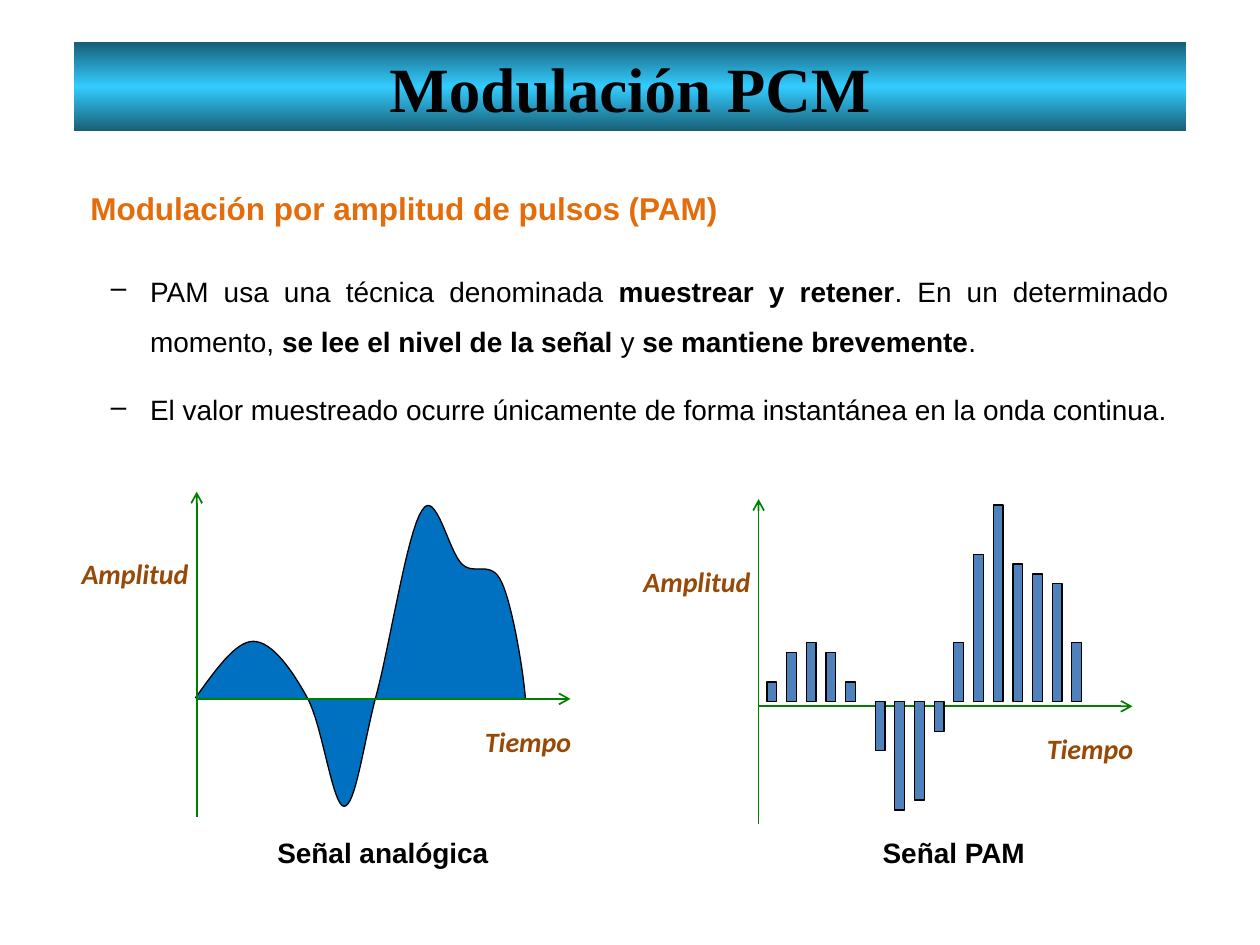
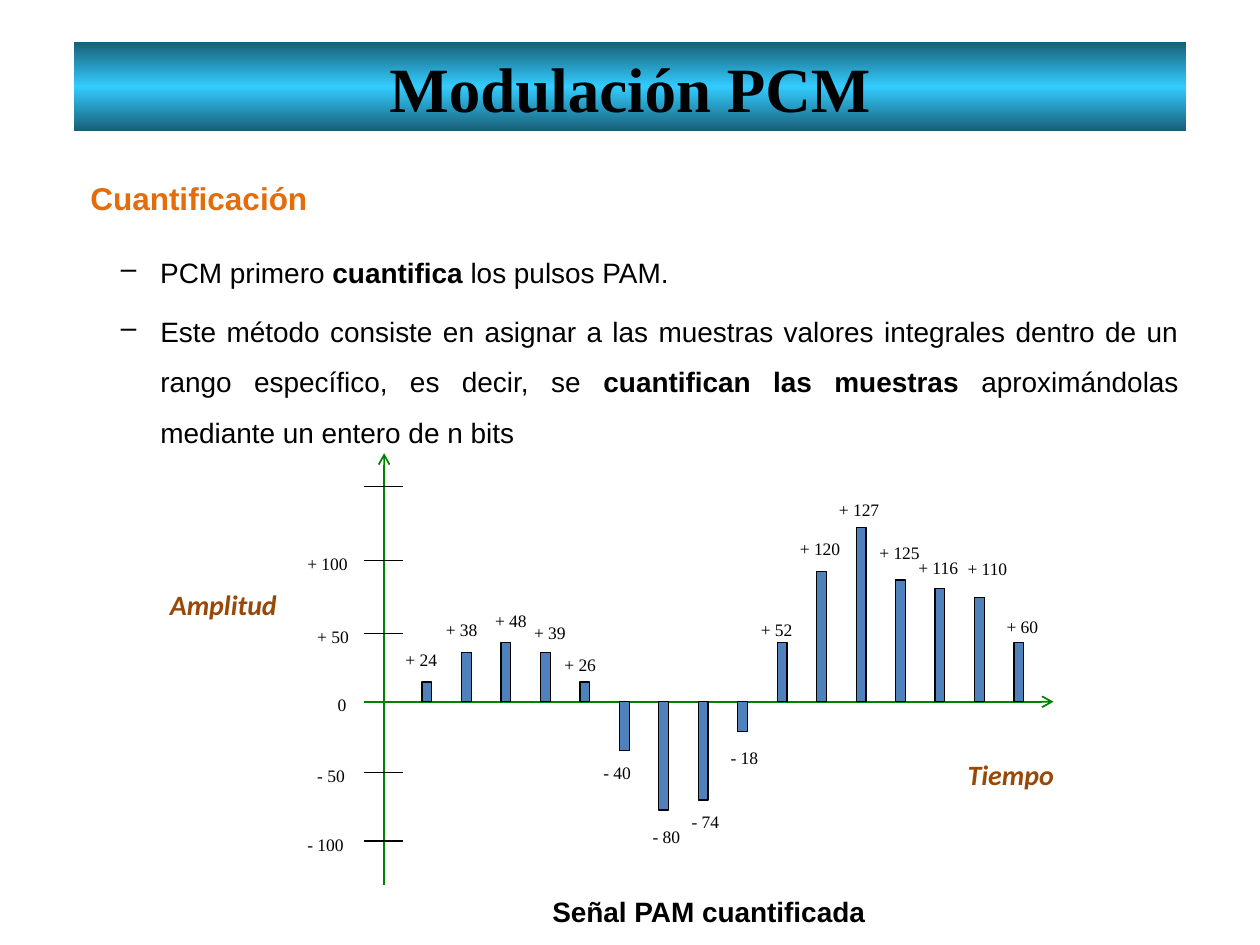
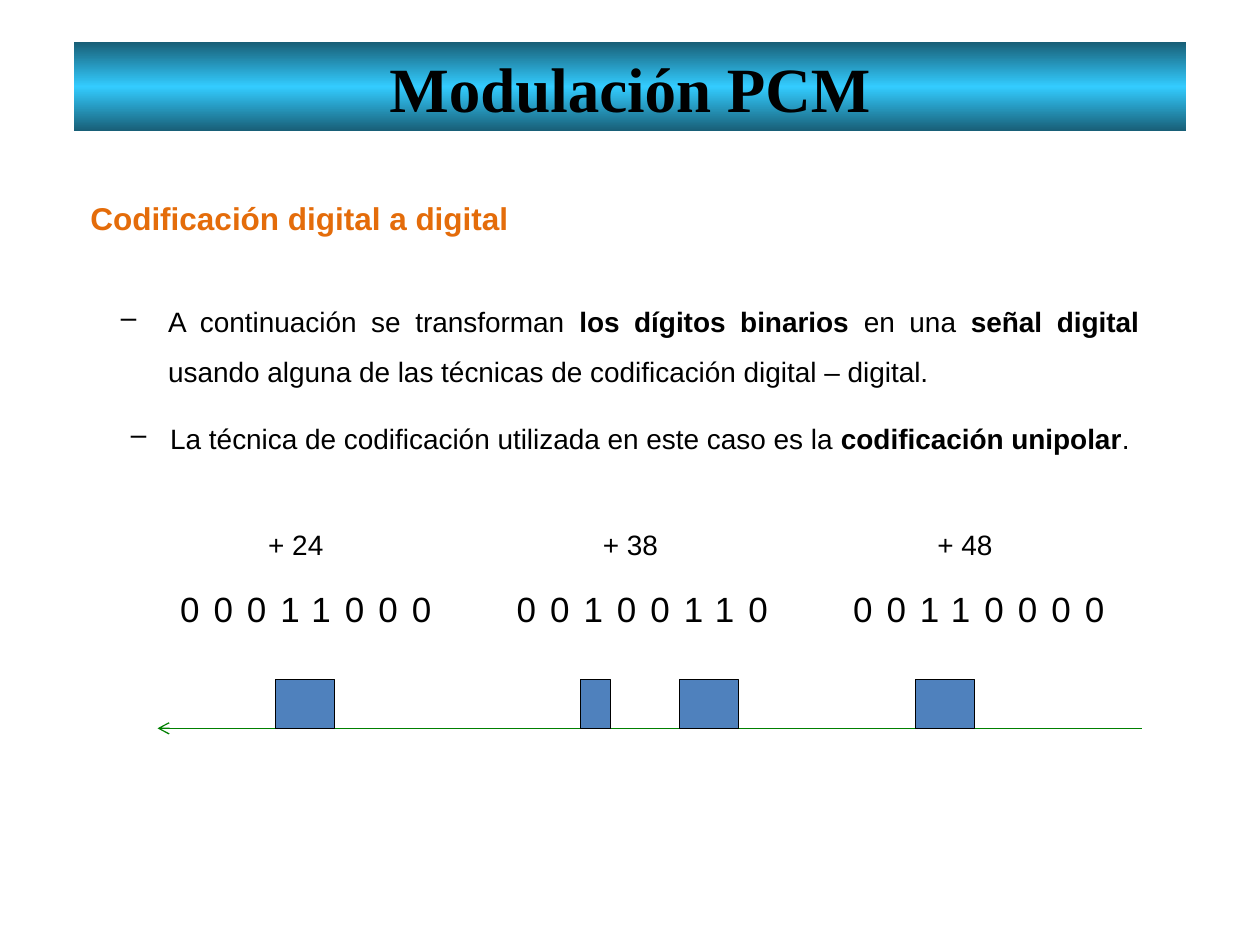
"""Builds three slides on PCM modulation: PAM, quantisation and digital coding."""
from lxml import etree
from pptx import Presentation
from pptx.dml.color import RGBColor
from pptx.enum import shapes, text
from pptx.oxml import ns, parse_xml
from pptx.util import Pt

ALIGN = text.PP_ALIGN
GREEN, BLACK, BLUE = "008000", "000000", "4F81BD"
HEADING = dict(name="Arial", size=Pt(18), bold=True, color="E46C0A")
BODY = dict(name="Arial", size=Pt(16), color=BLACK)
CAPTION = BODY | dict(bold=True)
AXIS_NAME = dict(name="Calibri", size=Pt(16), bold=True, italic=True, color="984807")
NUMBER = dict(name="Times New Roman", size=Pt(10), color=BLACK)
BAND_TITLE = dict(name="Times New Roman", size=Pt(36), bold=True, color=BLACK)
BAND_STOPS = [(0, "185E76"), (50000, "33CCFF"), (100000, "185E76")]

BASELINE = 401
LEVEL = 5.62
PEAK_LEVEL = 4.97
LEVELS = [2, 5, 6, 5, 2, -5, -11, -10, -3, 6, 15, 20, 14, 13, 12, 6]
SAMPLE_LABELS = [
    ("+ 24", 224.6, 367.2), ("+ 38", 247.7, 349.9), ("+ 48", 275.8, 344.9), ("+ 39", 298.1, 352.1),
    ("+ 26", 315.4, 370.1), ("- 40", 337.7, 432), ("- 80", 365.8, 468.7), ("- 74", 388.1, 460.1),
    ("- 18", 410.4, 423.4), ("+ 52", 427.7, 349.9), ("+ 120", 450, 303.8), ("+ 127", 472.3, 281.5),
    ("+ 125", 495.4, 306), ("+ 116", 517.7, 314.6), ("+ 110", 545.8, 315.4), ("+ 60", 568.1, 348.5),
]
TICK_LABELS = [("+ 100", 168.5, 320.4), ("+ 50", 174.2, 362.2), ("0", 185.8, BASELINE),
               ("- 50", 174.2, 441.4), ("- 100", 168.5, 480.6)]
ANALOG_START = (111.6, 398.9)
ANALOG_CURVES = [
    [(123.1, 383), (134.6, 366.5), (144.7, 366.5)], [(155.5, 366.5), (167, 383), (175.7, 398.9)],
    [(184.3, 414.7), (190.1, 460.8), (196.6, 460.8)], [(203, 460.8), (207.4, 427), (214.6, 398.9)],
    [(222.5, 370.8), (232.6, 303.8), (241.2, 291.6)], [(249.1, 278.6), (256.3, 315.4), (264.2, 322.6)],
    [(271.4, 329), (280.8, 319.7), (286.6, 332.6)], [(293, 345.6), (299.5, 386.6), (300.2, 398.9)],
]


def color(value):
    return RGBColor.from_string(value)


def bezier(start, first, second, end, steps=16):
    for step in range(1, steps + 1):
        t = step / steps
        weights = ((1 - t) ** 3, 3 * t * (1 - t) ** 2, 3 * t * t * (1 - t), t ** 3)
        yield tuple(sum(w * p[axis] for w, p in zip(weights, (start, first, second, end)))
                    for axis in (0, 1))


class Deck:
    def __init__(self):
        self.show = Presentation()
        self.show.slide_width, self.show.slide_height = Pt(720), Pt(540)
        self.slide = None

    def add_runs(self, paragraph, content, style):
        for order, part in enumerate(content.split("**")):
            if not part:
                continue
            run = paragraph.add_run()
            run.text = part
            for key, value in style.items():
                if key == "color":
                    run.font.color.rgb = color(value)
                else:
                    setattr(run.font, key, value)
            if order % 2:
                run.font.bold = True

    def page(self, title):
        self.slide = self.show.slides.add_slide(self.show.slide_layouts[5])
        band = self.slide.shapes.title
        frame = dict(left=Pt(42), top=Pt(24), width=Pt(636), height=Pt(51))
        for key, value in frame.items():
            setattr(band, key, value)
        stops = "".join(f'<a:gs pos="{pos}"><a:srgbClr val="{tone}"/></a:gs>' for pos, tone in BAND_STOPS)
        band.element.spPr.append(parse_xml(
            f'<a:gradFill {ns.nsdecls("a")}><a:gsLst>{stops}</a:gsLst><a:lin ang="5400000"/></a:gradFill>'))
        band.text_frame.auto_size = text.MSO_AUTO_SIZE.NONE
        band.text_frame.vertical_anchor = text.MSO_ANCHOR.BOTTOM
        paragraph = band.text_frame.paragraphs[0]
        paragraph.alignment = ALIGN.CENTER
        self.add_runs(paragraph, title, BAND_TITLE)

    def label(self, content, left, top, width, style, height=20, align=ALIGN.LEFT):
        box = self.slide.shapes.add_textbox(Pt(left), Pt(top), Pt(width), Pt(height))
        box.text_frame.word_wrap = True
        paragraph = box.text_frame.paragraphs[0]
        paragraph.alignment = align
        self.add_runs(paragraph, content, style)
        return paragraph

    def heading(self, content, top):
        self.label(content, 44.6, top, 460, HEADING, 44).line_spacing = 1.5

    def bullet(self, content, left, top, width, height, indent=22.5):
        paragraph = self.label(content, left, top, width, BODY, height, ALIGN.JUSTIFY)
        props = paragraph._p.get_or_add_pPr()
        props.set("marL", str(Pt(indent)))
        props.set("indent", str(-Pt(indent)))
        etree.SubElement(props, ns.qn("a:buChar")).set("char", "–")
        paragraph.line_spacing = 1.5

    def line(self, start, end, tone=BLACK, weight=0.75, arrow=False):
        stroke = self.slide.shapes.add_connector(
            shapes.MSO_CONNECTOR.STRAIGHT, *(Pt(value) for value in (*start, *end)))
        stroke.line.color.rgb = color(tone)
        stroke.line.width = Pt(weight)
        if arrow:
            etree.SubElement(stroke.line._get_or_add_ln(), ns.qn("a:tailEnd")).set("type", "arrow")
        etree.SubElement(stroke._element.spPr, ns.qn("a:effectLst"))

    def paint(self, shape, tone):
        shape.shadow.inherit = False
        shape.fill.solid()
        shape.fill.fore_color.rgb = color(tone)
        shape.line.color.rgb = color(BLACK)
        shape.line.width = Pt(0.75)

    def block(self, left, top, width, height):
        self.paint(self.slide.shapes.add_shape(
            shapes.MSO_SHAPE.RECTANGLE, Pt(left), Pt(top), Pt(width), Pt(height)), BLUE)

    def pulse(self, left, height):
        self.block(left, BASELINE - max(height, 0), LEVEL, abs(height))

    def wave(self, start, curves, tone):
        points, last = [], start
        for curve in curves:
            points.extend(bezier(last, *curve))
            last = curve[-1]
        builder = self.slide.shapes.build_freeform(Pt(start[0]), Pt(start[1]))
        builder.add_line_segments([(Pt(x), Pt(y)) for x, y in points], close=False)
        self.paint(builder.convert_to_shape(), tone)


def pam(deck):
    deck.page("Modulación PCM")
    deck.heading("Modulación por amplitud de pulsos (PAM)", 93.6)
    deck.bullet("PAM usa una técnica denominada **muestrear y retener**. En un determinado momento, "
                "**se lee el nivel de la señal **y **se mantiene brevemente**.", 56.2, 143.6, 618.5, 62)
    deck.bullet("El valor muestreado ocurre únicamente de forma instantánea en la onda continua.",
                56.2, 211.3, 618.5, 64)
    deck.wave(ANALOG_START, ANALOG_CURVES, "0070C0")
    for dx, dy, caption, caption_left in ((0, 0, "Señal analógica", 134.6),
                                          (321.1, 4.2, "Señal PAM", 460.8)):
        origin = 112.4 + dx
        deck.line((origin, 466.6 + dy), (origin, 281 + dy), GREEN, 1, True)
        deck.line((origin, 399.4 + dy), (326 + dx, 399.4 + dy), GREEN, 1, True)
        deck.label("Amplitud", 39.5 + dx, 314.6 + dy, 96, AXIS_NAME, 27)
        deck.label("Tiempo", 270 + dx, 410.4 + dy, 96, AXIS_NAME, 27)
        deck.label(caption, caption_left, 473.8, 168.5, CAPTION, 27, ALIGN.CENTER)
    for order, level in enumerate(LEVELS):
        gap = 5.62 if order > 4 else 0
        deck.pulse(438.3 + 11.24 * order + gap, level * LEVEL)


def quantisation(deck):
    deck.page("Modulación PCM")
    deck.heading("Cuantificación", 87.8)
    deck.bullet("PCM primero **cuantifica** los pulsos PAM.", 62, 132.8, 523, 40)
    deck.bullet("Este método consiste en asignar a las muestras valores integrales dentro de un rango "
                "específico, es decir, se **cuantifican las muestras **aproximándolas mediante un "
                "entero de n bits", 62, 166.6, 618.5, 102)
    deck.line((219.5, 506), (219.5, 259), GREEN, 1, True)
    deck.line((208, BASELINE), (602, BASELINE), GREEN, 1, True)
    deck.label("Amplitud", 90, 331.9, 78.5, AXIS_NAME, 27)
    deck.label("Tiempo", 545.8, 429.1, 96, AXIS_NAME, 27)
    for order, (level, (value, left, top)) in enumerate(zip(LEVELS, SAMPLE_LABELS)):
        deck.pulse(241.2 + 22.55 * order, level * (PEAK_LEVEL if level > 6 else LEVEL))
        deck.label(value, left, top, 42, NUMBER)
    for value, left, height in TICK_LABELS:
        deck.label(value, left, height - 7.8, 40, NUMBER)
    for height in [278] + [tick[2] for tick in TICK_LABELS if tick[0] != "0"]:
        deck.line((208, height), (230.5, height))
    deck.label("Señal PAM cuantificada", 303.8, 507.6, 202.5, CAPTION, 27, ALIGN.CENTER)


def coding(deck):
    deck.page("Modulación PCM")
    deck.heading("Codificación digital a digital", 99.4)
    deck.bullet("A continuación se transforman **los dígitos binarios **en una **señal digital** usando "
                "alguna de las técnicas de codificación digital – digital.", 62, 160.6, 596, 62, 27)
    deck.bullet("La técnica de codificación utilizada en este caso es la **codificación unipolar**.",
                67.7, 227.8, 596, 50)
    for order, (value, bits) in enumerate((("+ 24", "00011000"), ("+ 38", "00100110"),
                                           ("+ 48", "00110000"))):
        deck.label(value, 146.2 + 191.2 * order, 298, 52, BODY, 27)
        code = deck.label(bits, 95.8 + 192.3 * order, 332, 180, BODY | dict(size=Pt(20)), 32)
        code.runs[0].font._element.set("spc", "800")
    deck.line((652.5, 416.2), (90, 416.2), GREEN, 0.75, True)
    for left, width in ((157.5, 33.75), (331.9, 16.9), (388.1, 33.75), (523.2, 33.75)):
        deck.block(left, 388.1, width, 28.1)


def main():
    deck = Deck()
    for build in (pam, quantisation, coding):
        build(deck)
    deck.show.save("out.pptx")


if __name__ == "__main__":
    main()
